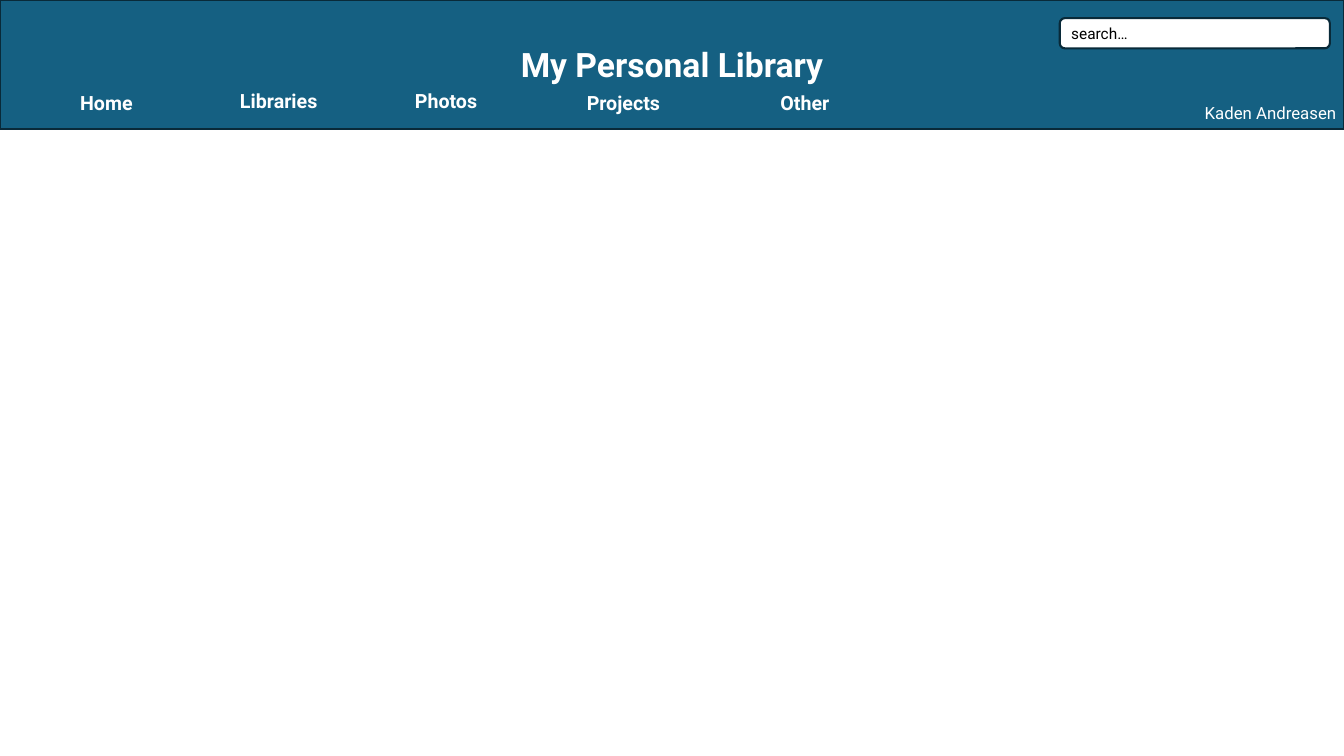
from pptx import Presentation
from pptx.dml.color import RGBColor
from pptx.enum.shapes import MSO_SHAPE as SHAPE
from pptx.enum.text import MSO_ANCHOR as ANCHOR, MSO_AUTO_SIZE as FIT, PP_ALIGN as ALIGN
from pptx.util import Inches, Pt

TEAL = RGBColor(0x15, 0x60, 0x82)
NAVY = RGBColor(0x09, 0x2A, 0x39)
WHITE = RGBColor(0xFF, 0xFF, 0xFF)
BLACK = RGBColor(0x00, 0x00, 0x00)

COLS, ROWS = 40, 30
BLANK = 6


class Page:
    """One slide with its style; lengths are columns and rows of the grid."""
    font = "Roboto"
    border = Pt(1.5)

    def __init__(self, prs):
        self.col = prs.slide_width / COLS
        self.row = prs.slide_height / ROWS
        self.s = prs.slides.add_slide(prs.slide_layouts[BLANK])

    def place(self, x, y, w, h):
        return (round(x * self.col), round(y * self.row),
                round(w * self.col), round(h * self.row))

    def add_text(self, tf, text, size, color, bold, align):
        tf.word_wrap = True
        p = tf.paragraphs[0]
        p.alignment = align
        r = p.add_run()
        r.text = text
        r.font.name = self.font
        r.font.size = Pt(size)
        r.font.bold = bold
        r.font.color.rgb = color

    def panel(self, kind, box, fill, text, size, color, bold=False, align=ALIGN.LEFT):
        sp = self.s.shapes.add_shape(kind, *self.place(*box))
        sp.shadow.inherit = False
        sp.fill.solid()
        sp.fill.fore_color.rgb = fill
        sp.line.color.rgb = NAVY
        sp.line.width = self.border
        sp.text_frame.vertical_anchor = ANCHOR.MIDDLE
        self.add_text(sp.text_frame, text, size, color, bold, align)

    def label(self, box, text, size, bold=False, align=ALIGN.LEFT):
        tf = self.s.shapes.add_textbox(*self.place(*box)).text_frame
        tf.auto_size = FIT.SHAPE_TO_FIT_TEXT
        self.add_text(tf, text, size, WHITE, bold, align)


def main():
    prs = Presentation()
    prs.slide_width, prs.slide_height = Inches(13.33), Inches(7.5)
    page = Page(prs)

    page.panel(SHAPE.RECTANGLE, (0, 0, COLS, 5.12), TEAL,
               "My Personal Library", 24, WHITE, bold=True, align=ALIGN.CENTER)
    page.label((35.56, 3.88, 5.64, 1.2), "Kaden Andreasen", 12)

    menu = [("Home", 1.11, 3.4), ("Libraries", 6.24, 3.32), ("Photos", 11.22, 3.32),
            ("Projects", 16.5, 3.4), ("Other", 21.9, 3.4)]
    for name, x, y in menu:
        page.label((x, y, 4.11, 1.36), name, 14, bold=True, align=ALIGN.CENTER)

    page.panel(SHAPE.ROUNDED_RECTANGLE, (31.54, 0.72, 8.04, 1.2), WHITE,
               "search…", 11, BLACK)

    prs.save("out.pptx")


if __name__ == "__main__":
    main()
